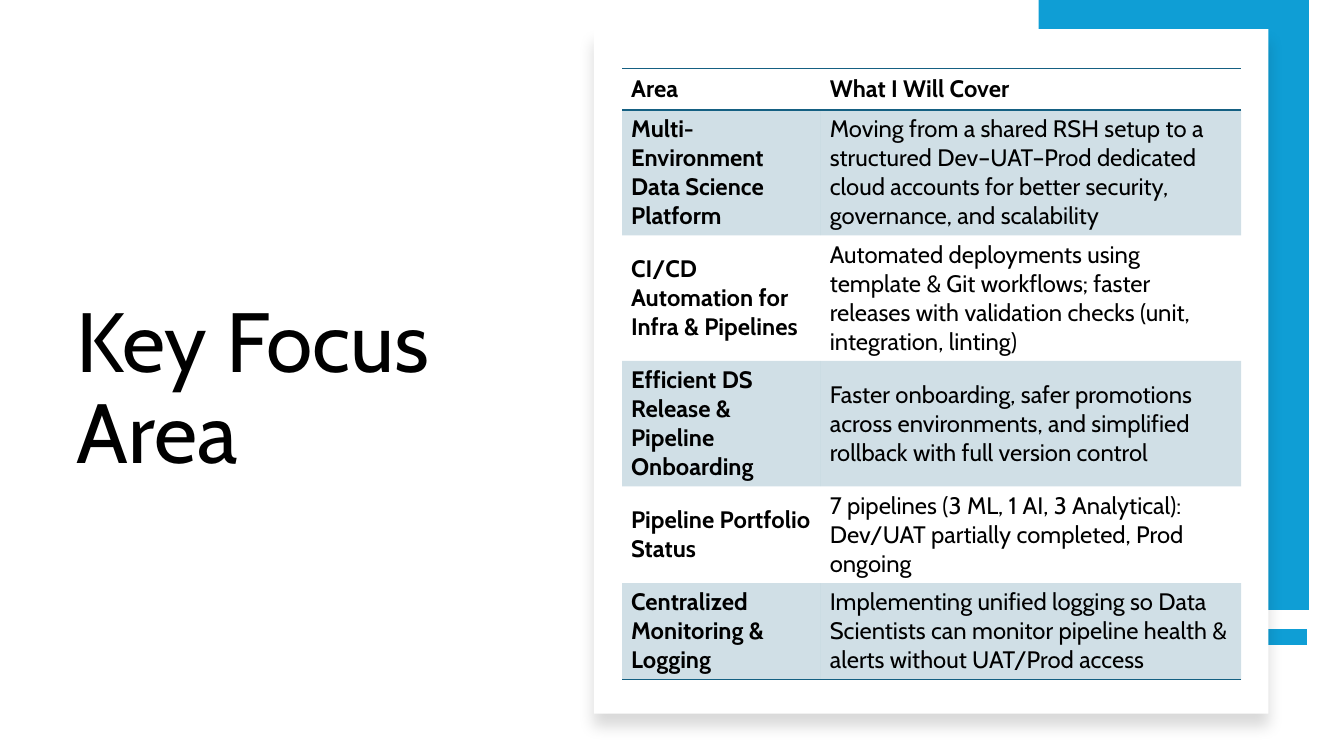
"""Build the Key Focus Area slide with its coverage table."""
from dataclasses import dataclass

import pptx
import pptx.dml.color
import pptx.enum.shapes
import pptx.enum.text
import pptx.oxml
import pptx.oxml.ns
import pptx.util

HEADING = "Key Focus Area"
FOCUS_AREAS = [
    ("Area", "What I Will Cover"),
    ("Multi-Environment Data Science Platform",
     "Moving from a shared RSH setup to a structured Dev–UAT–Prod dedicated "
     "cloud accounts for better security, governance, and scalability"),
    ("CI/CD Automation for Infra & Pipelines",
     "Automated deployments using template & Git workflows; faster releases "
     "with validation checks (unit, integration, linting)"),
    ("Efficient DS Release & Pipeline Onboarding",
     "Faster onboarding, safer promotions across environments, and simplified "
     "rollback with full version control"),
    ("Pipeline Portfolio Status",
     "7 pipelines (3 ML, 1 AI, 3 Analytical): Dev/UAT partially completed, "
     "Prod ongoing"),
    ("Centralized Monitoring & Logging",
     "Implementing unified logging so Data Scientists can monitor pipeline "
     "health & alerts without UAT/Prod access"),
]

# Percent of slide width and height: left, top, width, height
HEADING_AREA = (4.95, 9.87, 34.21, 54.53)
BLUE_PANEL = (77.27, 0, 20.11, 80.67)
WHITE_CARD = (44.19, 3.87, 50.19, 90.53)
BLUE_RULE = (77.27, 84.27, 19.95, 0)
TABLE_CORNER = (46.29, 9.07)
COLUMN_SHARES = (14.78, 31.28)
ROW_SHARES = (5.47, 16.4, 16.4, 16.4, 12.8, 12.8)


@dataclass(frozen=True)
class Theme:
    font: str = "Cabin"
    ink: str = "000000"
    paper: str = "FFFFFF"
    accent: str = "0F9ED5"
    band: str = "156082"
    band_alpha: int = 20000
    heading_size: int = 60
    table_size: int = 17
    rule_width: int = 12
    border_width: int = 1


THEME = Theme()
PLAIN_TABLE = "{2D5ABB26-0587-4C30-8999-92F81FD0307C}"
NS = pptx.oxml.ns.nsdecls("a")

deck = pptx.Presentation()
deck.slide_width = pptx.util.Inches(13.33)
deck.slide_height = pptx.util.Inches(7.5)


def across(share):
    return round(deck.slide_width * share / 100)


def down(share):
    return round(deck.slide_height * share / 100)


def place(area):
    left, top, width, height = area
    return across(left), down(top), across(width), down(height)


def rgb(color):
    return pptx.dml.color.RGBColor.from_string(color)


def style_text(frame, size, bold):
    for paragraph in frame.paragraphs:
        paragraph.alignment = pptx.enum.text.PP_ALIGN.LEFT
        for run in paragraph.runs:
            run.font.name = THEME.font
            run.font.size = pptx.util.Pt(size)
            run.font.bold = bold
            run.font.color.rgb = rgb(THEME.ink)


def add_heading(slide):
    heading = slide.shapes.title
    heading.left, heading.top, heading.width, heading.height = place(HEADING_AREA)
    frame = heading.text_frame
    frame.text = HEADING
    frame.word_wrap = True
    frame.auto_size = pptx.enum.text.MSO_AUTO_SIZE.NONE
    frame.vertical_anchor = pptx.enum.text.MSO_ANCHOR.BOTTOM
    frame.paragraphs[0].line_spacing = 0.9
    style_text(frame, THEME.heading_size, False)


def add_block(slide, area, color):
    block = slide.shapes.add_shape(
        pptx.enum.shapes.MSO_SHAPE.RECTANGLE, *place(area))
    block.shadow.inherit = False
    block.fill.solid()
    block.fill.fore_color.rgb = rgb(color)
    block.line.fill.background()
    return block


def add_rule(slide):
    left, top, width, height = place(BLUE_RULE)
    rule = slide.shapes.add_connector(
        pptx.enum.shapes.MSO_CONNECTOR.STRAIGHT,
        left + width, top, left, top + height)
    rule.line.color.rgb = rgb(THEME.accent)
    rule.line.width = pptx.util.Pt(THEME.rule_width)
    rule._element.spPr.append(pptx.oxml.parse_xml(f"<a:effectLst {NS}/>"))


def add_card(slide):
    card = add_block(slide, WHITE_CARD, THEME.paper)
    effects = card._element.spPr.find(pptx.oxml.ns.qn("a:effectLst"))
    blur, distance = pptx.util.Pt(11), pptx.util.Pt(10)
    effects.append(pptx.oxml.parse_xml(
        f'<a:outerShdw {NS} blurRad="{blur}" dist="{distance}" dir="5400000" '
        f'algn="t" rotWithShape="0"><a:srgbClr val="{THEME.ink}">'
        '<a:alpha val="15000"/></a:srgbClr></a:outerShdw>'))


def fill_cell(cell, banded):
    if not banded:
        cell.fill.background()
        return
    cell.fill.solid()
    cell.fill.fore_color.rgb = rgb(THEME.band)
    tint = cell._tc.tcPr.find(".//" + pptx.oxml.ns.qn("a:srgbClr"))
    tint.append(pptx.oxml.parse_xml(f'<a:alpha {NS} val="{THEME.band_alpha}"/>'))


def border_cell(cell, sides):
    width = pptx.util.Pt(THEME.border_width)
    for position, side in enumerate(sides):
        cell._tc.tcPr.insert(position, pptx.oxml.parse_xml(
            f'<a:ln{side} {NS} w="{width}"><a:solidFill>'
            f'<a:srgbClr val="{THEME.band}"/></a:solidFill></a:ln{side}>'))


def add_focus_table(slide):
    left, top = TABLE_CORNER
    area = (left, top, sum(COLUMN_SHARES), sum(ROW_SHARES))
    table = slide.shapes.add_table(
        len(FOCUS_AREAS), len(COLUMN_SHARES), *place(area)).table
    table.first_row = table.horz_banding = False
    table._tbl.tblPr[0].text = PLAIN_TABLE
    for column, share in zip(table.columns, COLUMN_SHARES):
        column.width = across(share)
    for row, share in zip(table.rows, ROW_SHARES):
        row.height = down(share)

    borders = {0: "TB", len(FOCUS_AREAS) - 1: "B"}
    for r, entry in enumerate(FOCUS_AREAS):
        for c, wording in enumerate(entry):
            cell = table.cell(r, c)
            cell.text_frame.text = wording
            cell.vertical_anchor = pptx.enum.text.MSO_ANCHOR.MIDDLE
            cell.margin_left = cell.margin_right = pptx.util.Inches(0.09)
            cell.margin_top = cell.margin_bottom = pptx.util.Pt(3.3)
            style_text(cell.text_frame, THEME.table_size, r == 0 or c == 0)
            fill_cell(cell, r % 2 == 1)
            border_cell(cell, borders.get(r, ""))


def main():
    slide = deck.slides.add_slide(deck.slide_layouts[5])
    add_heading(slide)
    add_rule(slide)
    add_block(slide, BLUE_PANEL, THEME.accent)
    add_card(slide)
    add_focus_table(slide)
    deck.save("out.pptx")


if __name__ == "__main__":
    main()
